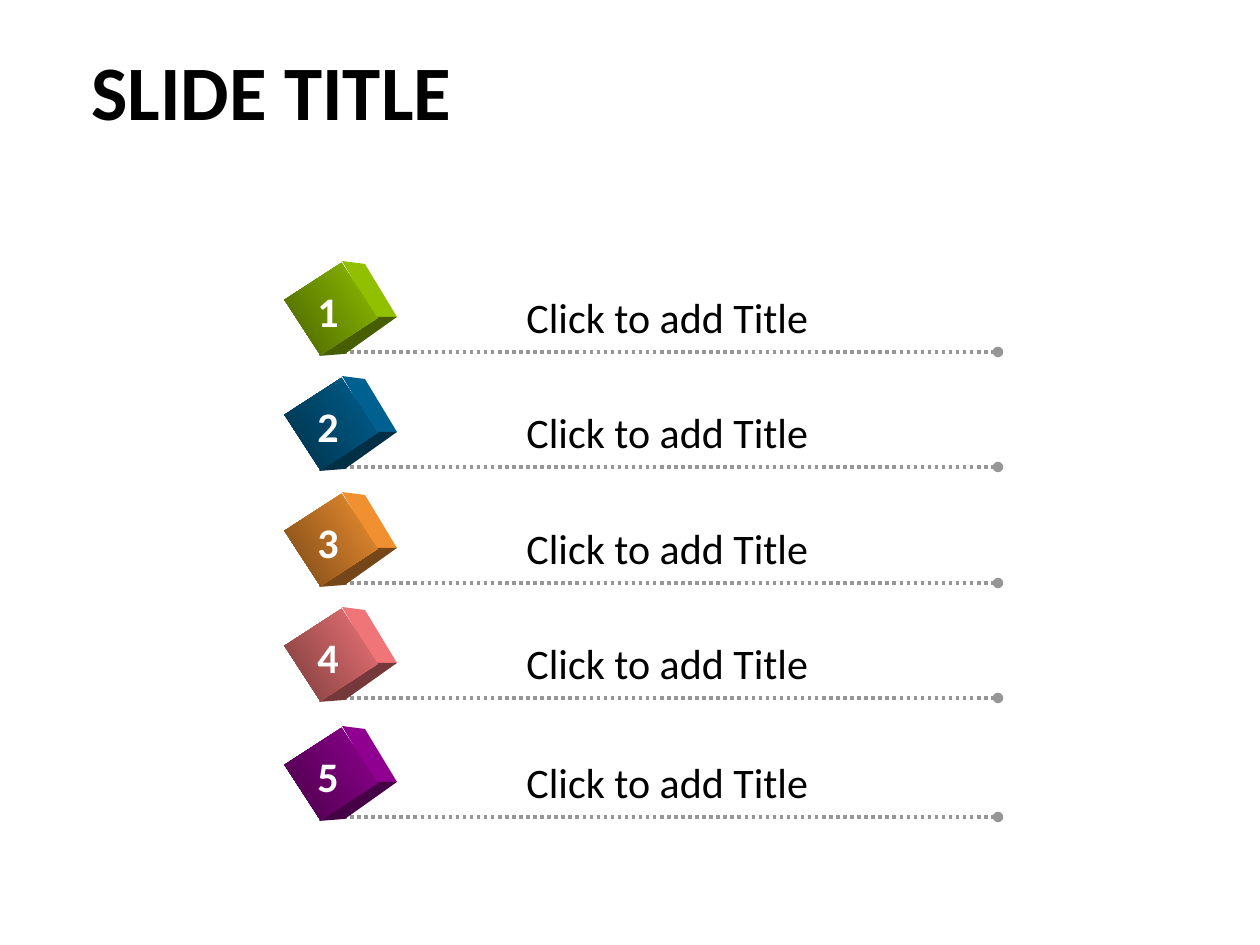
import pptx
import pptx.util
import pptx.dml.color
import pptx.enum.dml
import pptx.enum.shapes
import pptx.enum.text
import pptx.oxml
import pptx.oxml.ns

SCALE = 914400 / 126


def px(n):
    return round(n * SCALE)


def rgb(value):
    return pptx.dml.color.RGBColor.from_string(value)


def shade(value, factor):
    return "".join(f"{round(c * factor):02X}" for c in bytes.fromhex(value))


class Deck:
    font = "Calibri"
    black, white, grey = "000000", "FFFFFF", "969696"

    def __init__(self, prs):
        self.slide = prs.slides.add_slide(prs.slide_layouts[5])

    def format(self, tf, size, color, bold):
        for p in tf.paragraphs:
            p.alignment = pptx.enum.text.PP_ALIGN.LEFT
            for r in p.runs:
                r.font.name = self.font
                r.font.size = pptx.util.Pt(size)
                r.font.bold = bold
                r.font.color.rgb = rgb(color)

    def title(self, text, x, y, w, h):
        sp = self.slide.shapes.title
        sp.left, sp.top, sp.width, sp.height = map(px, (x, y, w, h))
        tf = sp.text_frame
        tf.text = text
        tf.vertical_anchor = pptx.enum.text.MSO_ANCHOR.MIDDLE
        tf.paragraphs[0].line_spacing = 0.9
        self.format(tf, 44, self.black, True)

    def text(self, group, text, x, y, w, h, color, bold=False):
        tf = group.shapes.add_textbox(*map(px, (x, y, w, h))).text_frame
        tf.text = text
        tf.word_wrap = False
        tf.auto_size = pptx.enum.text.MSO_AUTO_SIZE.SHAPE_TO_FIT_TEXT
        self.format(tf, 24, color, bold)

    def dotted_line(self, group, x1, x2, y):
        s = group.shapes.add_connector(
            pptx.enum.shapes.MSO_CONNECTOR.STRAIGHT, px(x1), px(y), px(x2), px(y))
        s.line.color.rgb = rgb(self.grey)
        s.line.width = pptx.util.Pt(2)
        s.line.dash_style = pptx.enum.dml.MSO_LINE.ROUND_DOT
        tail = pptx.oxml.parse_xml(
            f'<a:tailEnd {pptx.oxml.ns.nsdecls("a")} type="oval"/>')
        s.line._get_or_add_ln().append(tail)
        s._element.spPr.append(
            pptx.oxml.parse_xml(f'<a:effectLst {pptx.oxml.ns.nsdecls("a")}/>'))

    def face(self, group, points, color):
        start, *rest = [(px(x), px(y)) for x, y in points]
        builder = group.shapes.build_freeform(*start)
        builder.add_line_segments(rest)
        sp = builder.convert_to_shape()
        sp.shadow.inherit = False
        sp.fill.solid()
        sp.fill.fore_color.rgb = rgb(color)
        sp.line.fill.background()

    def cube(self, group, x, y, color):
        top, right, bottom = (x + 11, y - 48), (x + 44, y + 8), (x - 12, y + 47)
        back_top, back_right, back_bottom = (x + 34, y - 45), (x + 66, y + 8), (x + 14, y + 45)
        self.face(group, [top, back_top, back_right, right], shade(color, 0.94))
        self.face(group, [right, back_right, back_bottom, bottom], shade(color, 0.46))
        sp = group.shapes.add_shape(
            pptx.enum.shapes.MSO_SHAPE.RECTANGLE,
            px(x - 33), px(y - 34), px(66), px(68))
        sp.rotation = 57
        sp.shadow.inherit = False
        sp.line.fill.background()
        sp.fill.gradient()
        sp.fill.gradient_angle = 270
        for stop, factor, position in zip(sp.fill.gradient_stops, (0.94, 0.48), (0, 1)):
            stop.color.rgb = rgb(shade(color, factor))
            stop.position = position

    def row(self, number, label, y, color):
        group = self.slide.shapes.add_group_shape()
        self.dotted_line(group, 336, 998, y)
        self.cube(group, 331, y - 43, color)
        self.text(group, label, 514, y - 67, 336, 63, self.black)
        self.text(group, number, 305, y - 73, 49, 63, self.white, True)


def main():
    prs = pptx.Presentation()
    prs.slide_width, prs.slide_height = px(1260), px(945)
    deck = Deck(prs)
    deck.title("SLIDE TITLE", 79, 18, 1094, 156)
    rows = [(352, "99CC00"), (467, "006699"), (583, "FF9933"),
            (698, "FF7C80"), (817, "990099")]
    for number, (y, color) in enumerate(rows, 1):
        deck.row(str(number), "Click to add Title", y, color)
    prs.save("out.pptx")


if __name__ == "__main__":
    main()
